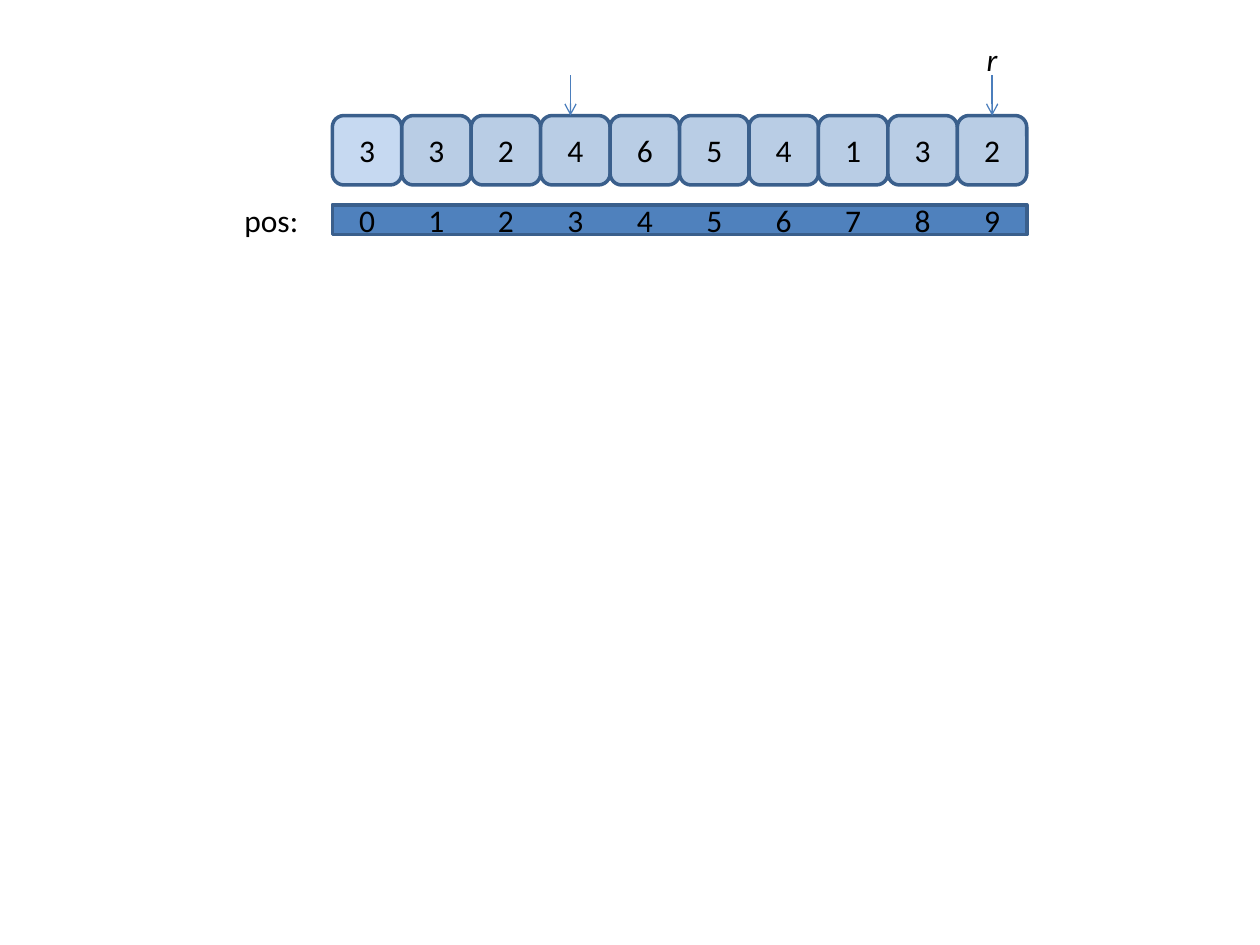
"""Draw an array of ten values with its positions and two marker arrows."""
from lxml import etree
from pptx import Presentation
from pptx.dml.color import RGBColor
from pptx.enum import shapes, text
from pptx.oxml import ns
from pptx.util import Cm, Pt

COLOURS = {
    "cell": "B9CDE5",
    "first_cell": "C6D9F1",
    "bar": "4F81BD",
    "outline": "3A5F8C",
    "arrow": "4B7EBC",
    "text": "000000",
}
VALUES = [3, 3, 2, 4, 6, 5, 4, 1, 3, 2]
CELL = 1.4
ARRAY_LEFT, ARRAY_TOP = 6.7, 2.33
ARROW_TOP = 1.52
BAR_TOP, BAR_HEIGHT = 4.13, 0.6
LABEL_TOP, LABEL_HEIGHT = 3.92, 1.02


class ArrayDrawing:
    """Hold the style and the current slide."""

    font_format = {"name": "Calibri", "size": Pt(18)}

    def __init__(self, slide):
        self.slide = slide

    def colour(self, name):
        return RGBColor.from_string(COLOURS[name])

    def add_words(self, shape, words, **changes):
        paragraph = shape.text_frame.paragraphs[0]
        paragraph.alignment = text.PP_ALIGN.CENTER
        run = paragraph.add_run()
        run.text = str(words)
        for name, value in {**self.font_format, **changes}.items():
            setattr(run.font, name, value)
        run.font.color.rgb = self.colour("text")

    def box(self, kind, left, top, width, height, fill):
        shape = self.slide.shapes.add_shape(
            kind, Cm(left), Cm(top), Cm(width), Cm(height))
        shape.shadow.inherit = False
        shape.fill.solid()
        shape.fill.fore_color.rgb = self.colour(fill)
        shape.line.color.rgb = self.colour("outline")
        shape.line.width = Pt(2)
        return shape

    def cell(self, left, value, fill):
        shape = self.box(shapes.MSO_SHAPE.ROUNDED_RECTANGLE,
                         left, ARRAY_TOP, CELL, CELL, fill)
        shape.text_frame.vertical_anchor = text.MSO_ANCHOR.MIDDLE
        self.add_words(shape, value)

    def label(self, centre, top, width, words, **changes):
        shape = self.slide.shapes.add_textbox(
            Cm(centre - width / 2), Cm(top), Cm(width), Cm(LABEL_HEIGHT))
        shape.text_frame.word_wrap = False
        shape.text_frame.auto_size = text.MSO_AUTO_SIZE.SHAPE_TO_FIT_TEXT
        self.add_words(shape, words, **changes)

    def arrow(self, x):
        connector = self.slide.shapes.add_connector(
            shapes.MSO_CONNECTOR.STRAIGHT,
            Cm(x), Cm(ARROW_TOP), Cm(x), Cm(ARRAY_TOP))
        connector.line.color.rgb = self.colour("arrow")
        connector.line.width = Pt(0.75)
        properties = connector._element.spPr
        line = properties.find(ns.qn("a:ln"))
        etree.SubElement(line, ns.qn("a:tailEnd"), type="arrow")
        etree.SubElement(properties, ns.qn("a:effectLst"))


presentation = Presentation()
presentation.slide_width = Cm(25.4)
presentation.slide_height = Cm(19.05)
drawing = ArrayDrawing(
    presentation.slides.add_slide(presentation.slide_layouts[6]))

for position, value in enumerate(VALUES):
    drawing.cell(ARRAY_LEFT + position * CELL, value,
                 "cell" if position else "first_cell")

last_centre = ARRAY_LEFT + (len(VALUES) - 0.5) * CELL
for x in (11.5, last_centre):
    drawing.arrow(x)
drawing.label(last_centre, 0.69, 0.74, "r", italic=True)

drawing.box(shapes.MSO_SHAPE.RECTANGLE, ARRAY_LEFT, BAR_TOP,
            len(VALUES) * CELL, BAR_HEIGHT, "bar")
for position in range(len(VALUES)):
    drawing.label(ARRAY_LEFT + (position + 0.5) * CELL,
                  LABEL_TOP, 0.84, position)
drawing.label(5.47, LABEL_TOP, 1.6, "pos:")

presentation.save("out.pptx")
